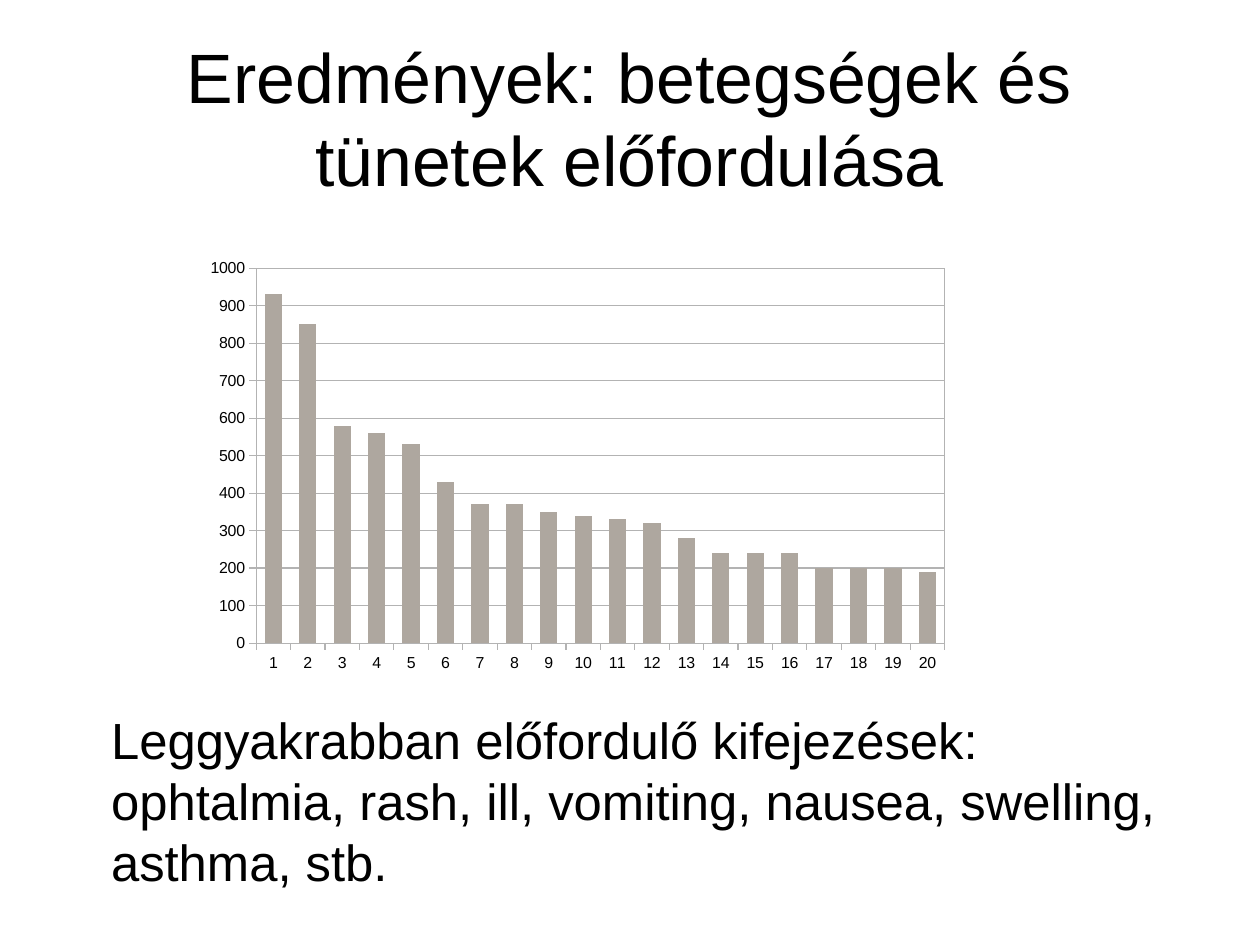
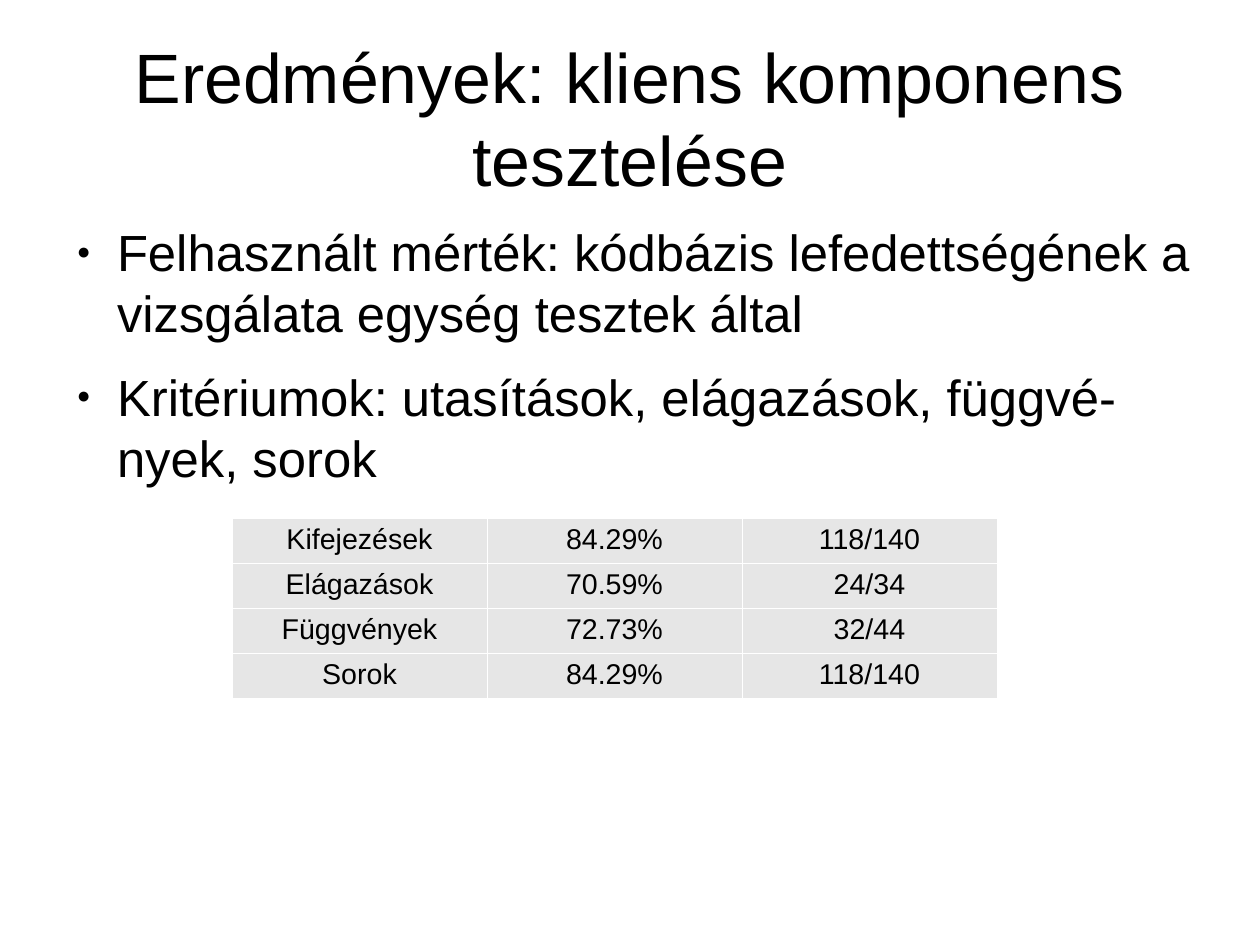
from lxml.etree import SubElement
from pptx import Presentation
from pptx.chart.data import CategoryChartData
from pptx.dml.color import RGBColor
from pptx.enum.chart import XL_CHART_TYPE, XL_TICK_MARK
from pptx.enum.text import MSO_ANCHOR, MSO_AUTO_SIZE, PP_ALIGN
from pptx.oxml import parse_xml
from pptx.oxml.ns import nsdecls, qn
from pptx.util import Emu, Pt

PX = 8000
FONT = "Arial"
COLORS = {"text": "000000", "paper": "FFFFFF", "cell": "E6E6E6",
          "bar": "AEA79F", "grid": "B3B3B3"}
TITLE_BOX = (63, 38, 1134, 158)
TEXT_INDENT = 54
BULLET_HANG = 40

FREQUENCIES = (930, 850, 580, 560, 530, 430, 370, 370, 350, 340,
               330, 320, 280, 240, 240, 240, 200, 200, 200, 190)
COVERAGE = (("Kifejezések", "84.29%", "118/140"),
            ("Elágazások", "70.59%", "24/34"),
            ("Függvények", "72.73%", "32/44"),
            ("Sorok", "84.29%", "118/140"))


def px(length):
    return Emu(length * PX)


def color(name):
    return RGBColor.from_string(COLORS[name])


def style_font(font, size):
    font.name = FONT
    font.size = Pt(size)
    font.color.rgb = color("text")


def add_span(para, text, size):
    span = para.add_run()
    span.text = text
    style_font(span.font, size)


def place_placeholder(holder, box, anchor):
    """Move a placeholder and return its text frame, without insets."""
    holder.left, holder.top, holder.width, holder.height = map(px, box)
    frame = holder.text_frame
    frame.margin_left = frame.margin_top = 0
    frame.margin_right = frame.margin_bottom = 0
    frame.word_wrap = True
    frame.auto_size = MSO_AUTO_SIZE.NONE
    frame.vertical_anchor = anchor
    return frame


def add_page(deck, title):
    page = deck.slides.add_slide(deck.slide_layouts[1])
    frame = place_placeholder(page.shapes.title, TITLE_BOX, MSO_ANCHOR.MIDDLE)
    para = frame.paragraphs[0]
    para.alignment = PP_ALIGN.CENTER
    add_span(para, title, 44)
    return page


def set_bullet(para, bulleted):
    props = para._p.get_or_add_pPr()
    props.set("marL", str(px(TEXT_INDENT)))
    props.set("indent", str(px(-BULLET_HANG if bulleted else 0)))
    if not bulleted:
        SubElement(props, qn("a:buNone"))
        return
    tint = SubElement(props, qn("a:buClr"))
    SubElement(tint, qn("a:srgbClr"), val=COLORS["text"])
    SubElement(props, qn("a:buSzPct"), val="45000")
    SubElement(props, qn("a:buFont"), typeface=FONT)
    SubElement(props, qn("a:buChar"), char="●")


def fill_body(page, box, texts, bulleted):
    frame = place_placeholder(page.placeholders[1], box, MSO_ANCHOR.TOP)
    for index, text in enumerate(texts):
        para = frame.add_paragraph() if index else frame.paragraphs[0]
        para.space_before = Pt(0)
        para.space_after = Pt(14.2)
        set_bullet(para, bulleted)
        add_span(para, text, 32)


def style_line(line):
    line.color.rgb = color("grid")
    line.width = Emu(0)


def frame_plot(chart):
    """Fix the inner plot area as shares of the chart and outline it."""
    area = chart._chartSpace.chart.plotArea
    for old in area.findall(qn("c:layout")):
        area.remove(old)
    shares = "".join(f'<c:{key} val="{share}"/>' for key, share in
                     (("x", 0.08), ("y", 0.04), ("w", 0.9), ("h", 0.87)))
    area.insert(0, parse_xml(
        f'<c:layout {nsdecls("c")}><c:manualLayout><c:layoutTarget val="inner"/>'
        f'<c:xMode val="edge"/><c:yMode val="edge"/>{shares}'
        '</c:manualLayout></c:layout>'))
    area.append(parse_xml(
        f'<c:spPr {nsdecls("c", "a")}><a:noFill/><a:ln w="0"><a:solidFill>'
        f'<a:srgbClr val="{COLORS["grid"]}"/></a:solidFill></a:ln></c:spPr>'))


def add_frequency_chart(page, box):
    data = CategoryChartData()
    data.categories = [str(rank + 1) for rank in range(len(FREQUENCIES))]
    data.add_series("Series 1", FREQUENCIES)
    chart = page.shapes.add_chart(
        XL_CHART_TYPE.COLUMN_CLUSTERED, *map(px, box), data).chart
    chart.has_title = False
    chart.has_legend = False
    style_font(chart.font, 10)

    plot = chart.plots[0]
    plot.gap_width = 100
    plot.vary_by_categories = False
    fill = plot.series[0].format.fill
    fill.solid()
    fill.fore_color.rgb = color("bar")

    for axis in (chart.category_axis, chart.value_axis):
        axis.major_tick_mark = XL_TICK_MARK.OUTSIDE
        axis.minor_tick_mark = XL_TICK_MARK.NONE
        style_font(axis.tick_labels.font, 10)
        style_line(axis.format.line)
    values = chart.value_axis
    values.minimum_scale, values.maximum_scale = 0, 1000
    values.major_unit = 100
    values.has_major_gridlines = True
    style_line(values.major_gridlines.format.line)
    frame_plot(chart)


def style_cell(cell):
    props = cell._tc.get_or_add_tcPr()
    for side in ("lnL", "lnR", "lnT", "lnB"):
        edge = SubElement(props, qn(f"a:{side}"), w="720")
        paint = SubElement(edge, qn("a:solidFill"))
        SubElement(paint, qn("a:srgbClr"), val=COLORS["paper"])
    cell.fill.solid()
    cell.fill.fore_color.rgb = color("cell")


def add_coverage_table(page, box):
    table = page.shapes.add_table(
        len(COVERAGE), len(COVERAGE[0]), *map(px, box)).table
    table.first_row = table.horz_banding = False
    for row, texts in enumerate(COVERAGE):
        for column, text in enumerate(texts):
            cell = table.cell(row, column)
            style_cell(cell)
            para = cell.text_frame.paragraphs[0]
            para.alignment = PP_ALIGN.CENTER
            add_span(para, text, 18)


def build_frequency_page(deck):
    page = add_page(deck, "Eredmények: betegségek és tünetek előfordulása")
    fill_body(page, (57, 709, 1134, 198), [
        "Leggyakrabban előfordulő kifejezések: ophtalmia, rash, ill, "
        "vomiting, nausea, swelling, asthma, stb."], bulleted=False)
    add_frequency_chart(page, (195, 251, 765, 431))


def build_coverage_page(deck):
    page = add_page(deck, "Eredmények: kliens komponens tesztelése")
    fill_body(page, (63, 221, 1134, 271), [
        "Felhasznált mérték: kódbázis lefedettségének a vizsgálata "
        "egység tesztek által",
        "Kritériumok: utasítások, elágazások, függvé-nyek, sorok"],
        bulleted=True)
    add_coverage_table(page, (232, 518, 765, 180))


def main():
    deck = Presentation()
    deck.slide_width, deck.slide_height = px(1260), px(945)
    build_frequency_page(deck)
    build_coverage_page(deck)
    deck.save("out.pptx")


if __name__ == "__main__":
    main()
